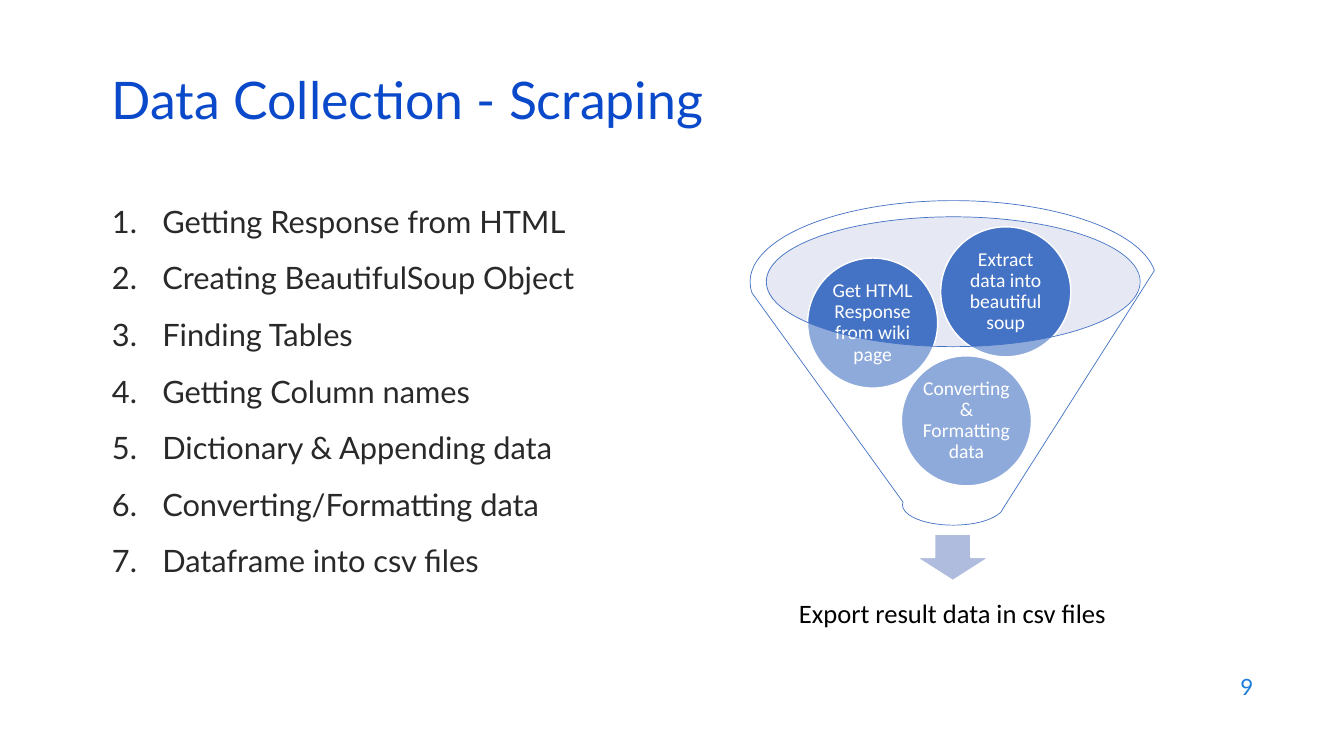
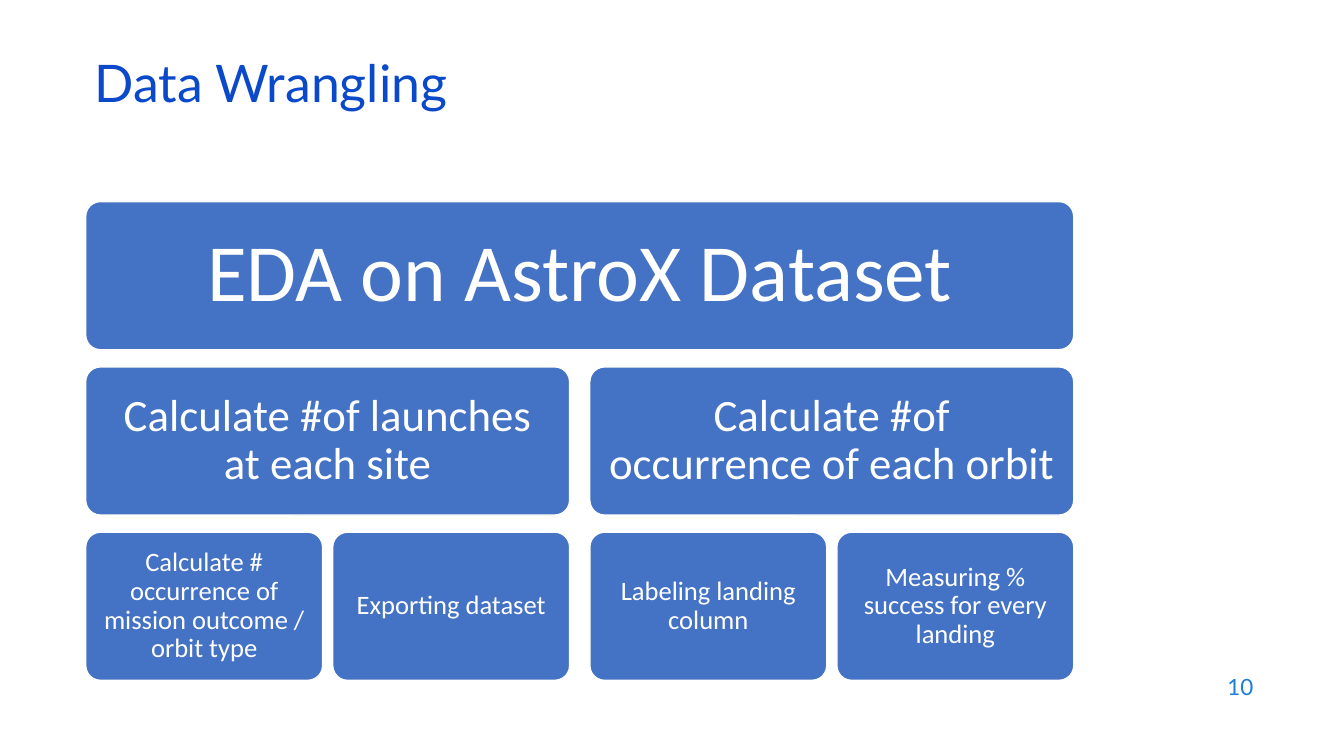
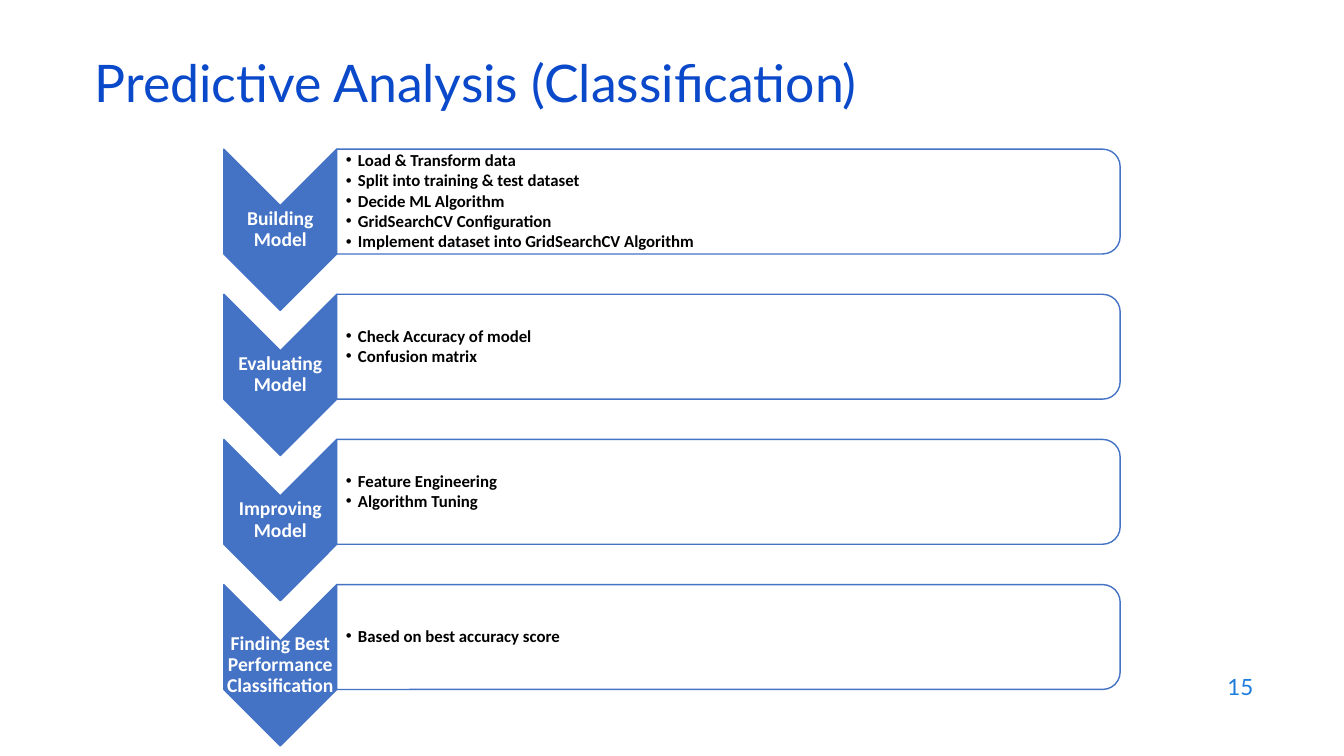
from dataclasses import dataclass

from lxml import etree
from pptx import Presentation
from pptx.dml.color import RGBColor
from pptx.enum.shapes import MSO_SHAPE
from pptx.enum.text import MSO_ANCHOR, MSO_AUTO_SIZE, PP_ALIGN
from pptx.oxml.ns import qn
from pptx.util import Inches, Pt

LEFT, CENTER, RIGHT = PP_ALIGN.LEFT, PP_ALIGN.CENTER, PP_ALIGN.RIGHT
TOP, MIDDLE = MSO_ANCHOR.TOP, MSO_ANCHOR.MIDDLE
ELLIPSE, FUNNEL, DOWN_ARROW = MSO_SHAPE.OVAL, MSO_SHAPE.FUNNEL, MSO_SHAPE.DOWN_ARROW
CHEVRON, ROUNDED = MSO_SHAPE.CHEVRON, MSO_SHAPE.ROUNDED_RECTANGLE
ROUND_TOP = MSO_SHAPE.ROUND_2_SAME_RECTANGLE
TITLE_AND_CONTENT, TITLE_ONLY = 1, 5

GRID = 0.1  # side of one grid cell, in inches
TITLE_BLUE, NUMBER_BLUE, BLUE = "0B49CB", "1C7DDB", "4472C4"
WHITE, BLACK, DARK = "FFFFFF", "000000", "292929"


@dataclass(frozen=True)
class Frame:
    """Place and size, in columns and rows of the grid."""
    left: float
    top: float
    width: float
    height: float

    def turned(self) -> "Frame":
        """The frame that covers this one after a quarter turn."""
        shift = (self.width - self.height) / 2
        return Frame(self.left + shift, self.top - shift, self.height, self.width)


@dataclass(frozen=True)
class Style:
    size: float
    color: str
    font: str = "Calibri"
    bold: bool = False
    align: PP_ALIGN = CENTER
    anchor: MSO_ANCHOR = MIDDLE
    inset: tuple = (0.1, 0.05)  # sides, top and bottom, in inches
    line_spacing: float = 0.9
    gap: float = 0  # points between paragraphs
    indent: float = 0  # hanging indent, in inches
    bullet: str = ""  # "number" or a bullet character


@dataclass(frozen=True)
class Ball:
    left: float
    top: float
    text: str


@dataclass(frozen=True)
class Level:
    span: int  # leaf columns under one tile
    style: Style
    labels: tuple


@dataclass(frozen=True)
class Step:
    label: str
    points: tuple


TITLE = Style(37, TITLE_BLUE, "Lato", align=LEFT, line_spacing=0.7)
NUMBER = Style(16, NUMBER_BLUE, "Lato", align=RIGHT, line_spacing=1)
NUMBERED_LIST = Style(22, DARK, "Lato", align=LEFT, anchor=TOP, line_spacing=1,
                      gap=14, indent=0.5, bullet="number")
BALL_TEXT = Style(14, WHITE, inset=(0.02, 0.02))
RESULT_TEXT = Style(19, BLACK, inset=(0.15, 0.15))
STEP_LABEL = Style(14, WHITE, bold=True, inset=(0.01, 0.01))
STEP_POINTS = Style(12, BLACK, bold=True, align=LEFT, inset=(0.09, 0.01),
                    gap=1.6, indent=0.12, bullet="•")


# Shared helpers
def rgb(color: str) -> RGBColor:
    return RGBColor.from_string(color)


def cells(count: float) -> int:
    return Inches(count * GRID)


def box(frame: Frame) -> tuple:
    return tuple(cells(side) for side in
                 (frame.left, frame.top, frame.width, frame.height))


def add_bullet(paragraph, style: Style) -> None:
    properties = paragraph._p.get_or_add_pPr()
    properties.set("marL", str(Inches(style.indent)))
    properties.set("indent", str(-Inches(style.indent)))
    if style.bullet == "number":
        etree.SubElement(properties, qn("a:buFont"), typeface="+mj-lt")
        etree.SubElement(properties, qn("a:buAutoNum"), type="arabicPeriod")
    else:
        etree.SubElement(properties, qn("a:buFont"), typeface="Arial")
        etree.SubElement(properties, qn("a:buChar"), char=style.bullet)


def write(shape, lines: tuple, style: Style) -> None:
    text_frame = shape.text_frame
    text_frame.word_wrap = True
    text_frame.auto_size = MSO_AUTO_SIZE.NONE
    text_frame.vertical_anchor = style.anchor
    text_frame.margin_left = text_frame.margin_right = Inches(style.inset[0])
    text_frame.margin_top = text_frame.margin_bottom = Inches(style.inset[1])
    for index, line in enumerate(lines):
        paragraph = text_frame.add_paragraph() if index else text_frame.paragraphs[0]
        paragraph.alignment = style.align
        paragraph.line_spacing = style.line_spacing
        paragraph.space_before = Pt(style.gap if index else 0)
        paragraph.space_after = Pt(0)
        if style.bullet:
            add_bullet(paragraph, style)
        run = paragraph.add_run()
        run.text = line
        run.font.size = Pt(style.size)
        run.font.name = style.font
        run.font.bold = style.bold
        run.font.color.rgb = rgb(style.color)


def add_text(slide, frame: Frame, lines: tuple, style: Style) -> None:
    write(slide.shapes.add_textbox(*box(frame)), lines, style)


def fill_placeholder(shape, frame: Frame, lines: tuple, style: Style) -> None:
    shape.left, shape.top, shape.width, shape.height = box(frame)
    write(shape, lines, style)


def add_figure(slide, kind: MSO_SHAPE, frame: Frame, fill: str, line: str = "",
               line_width: float = 1, opacity: int = 100, quarter_turn: bool = False):
    shape = slide.shapes.add_shape(kind, *box(frame.turned() if quarter_turn else frame))
    shape.rotation = 90 if quarter_turn else 0
    shape.shadow.inherit = False
    shape.fill.solid()
    shape.fill.fore_color.rgb = rgb(fill)
    if opacity < 100:
        color = shape._element.spPr.find(qn("a:solidFill"))[0]
        etree.SubElement(color, qn("a:alpha"), val=str(opacity * 1000))
    if line:
        shape.line.color.rgb = rgb(line)
        shape.line.width = Pt(line_width)
    else:
        shape.line.fill.background()
    return shape


def add_slide(presentation, layout: int, title: str, number: int,
              left: float = 8.4, top: float = 5.9):
    slide = presentation.slides.add_slide(presentation.slide_layouts[layout])
    fill_placeholder(slide.shapes.title, Frame(left, top, 115, 6), (title,), TITLE)
    add_text(slide, Frame(95.3, 65.9, 30, 4.4), (str(number),), NUMBER)
    return slide


# Scraping: numbered list and funnel
def build_scraping(presentation) -> None:
    slide = add_slide(presentation, TITLE_AND_CONTENT, "Data Collection - Scraping",
                      9, left=10.1, top=7.6)
    fill_placeholder(slide.placeholders[1], Frame(10.1, 19.6, 56.6, 41.7), (
        "Getting Response from HTML",
        "Creating BeautifulSoup Object",
        "Finding Tables",
        "Getting Column names",
        "Dictionary & Appending data",
        "Converting/Formatting data",
        "Dataframe into csv files",
    ), NUMBERED_LIST)

    add_figure(slide, ELLIPSE, Frame(75.9, 21.5, 37.1, 12.9), "C1C9E4", opacity=40)
    add_figure(slide, DOWN_ARROW, Frame(90.9, 53, 7.2, 4.6), "B0BCDE", WHITE)
    add_text(slide, Frame(77.2, 56.7, 34.5, 8.6),
             ("Export result data in csv files",), RESULT_TEXT)
    for ball in (Ball(89.4, 35.3, "Converting & Formatting data"),
                 Ball(80.1, 25.6, "Get HTML Response from wiki page"),
                 Ball(93.3, 22.5, "Extract data into beautiful soup")):
        circle = add_figure(slide, ELLIPSE, Frame(ball.left, ball.top, 12.9, 12.9),
                            BLUE, WHITE)
        write(circle, (ball.text,), BALL_TEXT)
    add_figure(slide, FUNNEL, Frame(74.4, 19.9, 40.3, 32.2), WHITE, BLUE, 0.5, opacity=40)


# Wrangling: three levels of tiles over four leaf columns
LEVELS = (
    Level(4, Style(58, WHITE, inset=(0.24, 0.24)), ("EDA on AstroX Dataset",)),
    Level(2, Style(32, WHITE, inset=(0.13, 0.13)),
          ("Calculate #of launches at each site",
           "Calculate #of occurrence of each orbit")),
    Level(1, Style(19, WHITE, inset=(0.08, 0.08)),
          ("Calculate # occurrence of mission outcome / orbit type",
           "Exporting dataset",
           "Labeling landing column",
           "Measuring % success for every landing")),
)
LEAF_WIDTH, LEAF_GAP, BRANCH_EXTRA_GAP = 23.5, 1, 1


def leaf_left(column: int) -> float:
    return 8.5 + column * (LEAF_WIDTH + LEAF_GAP) + column // 2 * BRANCH_EXTRA_GAP


def build_wrangling(presentation) -> None:
    slide = add_slide(presentation, TITLE_ONLY, "Data Wrangling", 10)
    for row, level in enumerate(LEVELS):
        for index, label in enumerate(level.labels):
            first = index * level.span
            left = leaf_left(first)
            width = leaf_left(first + level.span - 1) + LEAF_WIDTH - left
            tile = add_figure(slide, ROUNDED, Frame(left, 20 + row * 16.4, width, 14.7),
                              BLUE, WHITE)
            tile.adjustments[0] = 0.1
            write(tile, (label,), level.style)


# Predictive analysis: chevrons with panels
STEPS = (
    Step("Building Model",
         ("Load & Transform data", "Split into training & test dataset",
          "Decide ML Algorithm", "GridSearchCV Configuration",
          "Implement dataset into GridSearchCV Algorithm")),
    Step("Evaluating Model", ("Check Accuracy of model", "Confusion matrix")),
    Step("Improving Model", ("Feature Engineering", "Algorithm Tuning")),
    Step("Finding Best Performance Classification", ("Based on best accuracy score",)),
)


def build_prediction(presentation) -> None:
    slide = add_slide(presentation, TITLE_ONLY, "Predictive Analysis (Classification)", 15)
    left, chevron_width = 22.2, 11.2
    panel_left = left + chevron_width
    for row, step in enumerate(STEPS):
        top = 14.8 + row * 14.4
        add_figure(slide, CHEVRON, Frame(left, top, chevron_width, 16),
                   BLUE, BLUE, quarter_turn=True)
        add_text(slide, Frame(left, top + 5.6, chevron_width, 4.8),
                 (step.label,), STEP_LABEL)
        add_figure(slide, ROUND_TOP, Frame(panel_left, top, 77.7, 10.4),
                   WHITE, BLUE, opacity=90, quarter_turn=True)
        add_text(slide, Frame(panel_left, top + 0.5, 77.2, 9.4), step.points, STEP_POINTS)


def main() -> None:
    presentation = Presentation()
    presentation.slide_width, presentation.slide_height = Inches(13.33), Inches(7.5)
    build_scraping(presentation)
    build_wrangling(presentation)
    build_prediction(presentation)
    presentation.save("out.pptx")


if __name__ == "__main__":
    main()
